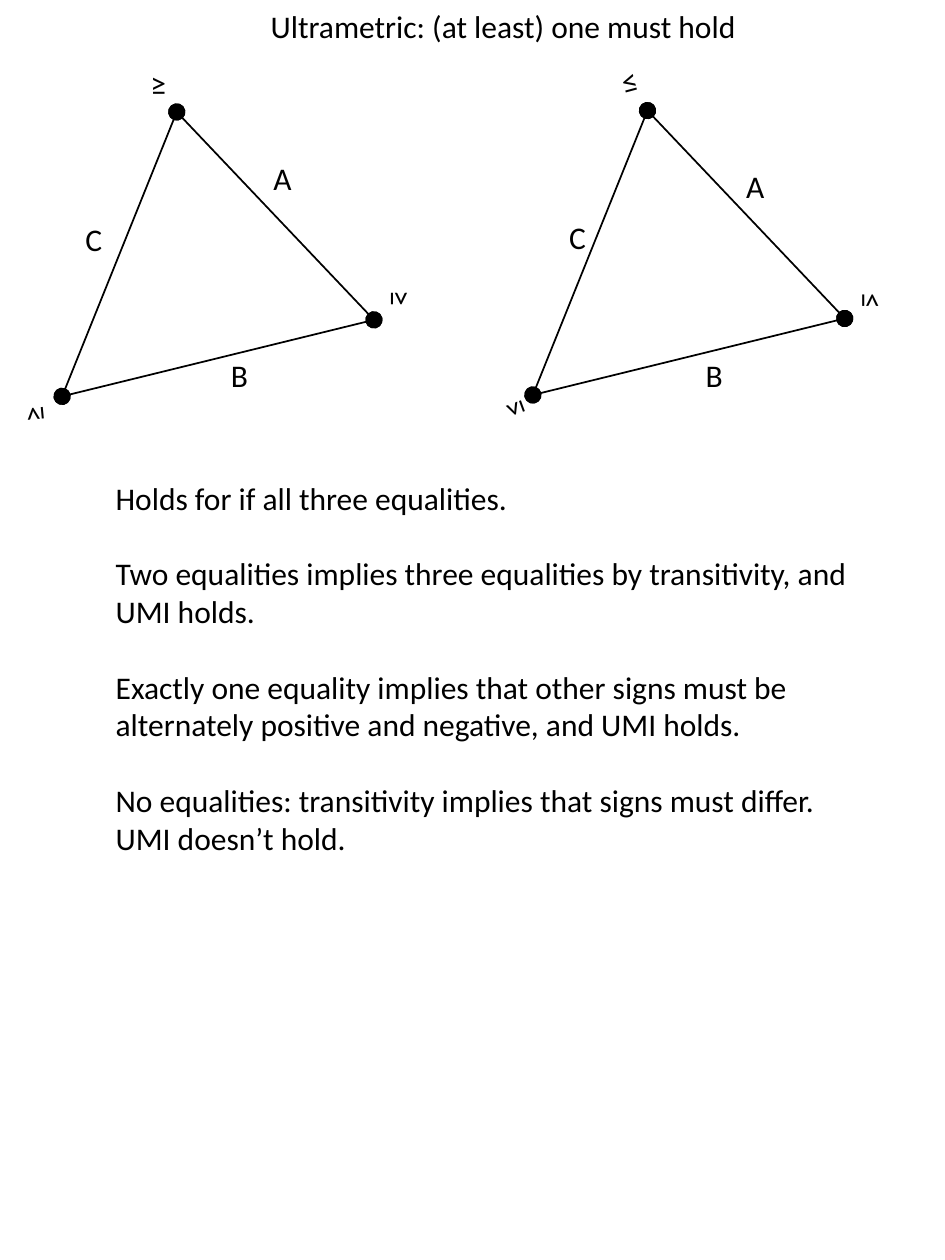
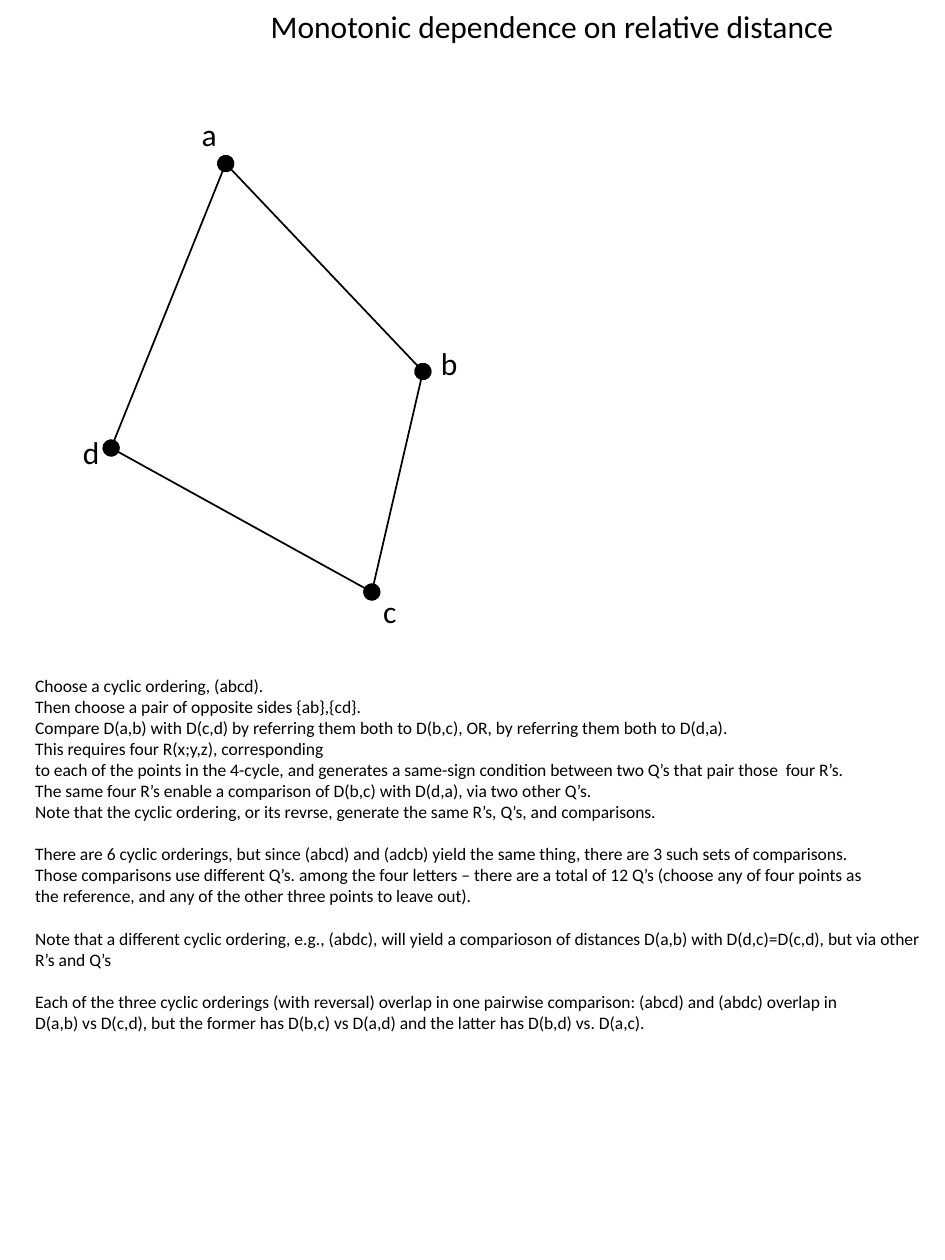
from lxml.etree import SubElement
from pptx import Presentation
from pptx.dml.color import RGBColor
from pptx.enum.shapes import MSO_CONNECTOR
from pptx.enum.text import MSO_ANCHOR, MSO_AUTO_SIZE, PP_ALIGN
from pptx.oxml.ns import qn
from pptx.util import Pt

# Content: every length is in points
TRIANGLE_TITLE = "Ultrametric: (at least) one must hold"
TRIANGLE_NOTES = [
    ["Holds for if all three equalities."],
    ["Two equalities implies three equalities by transitivity, and UMI holds."],
    ["Exactly one equality implies that other signs must be alternately "
     "positive and negative, and UMI holds."],
    ["No equalities: transitivity implies that signs must differ. "
     "UMI doesn’t hold."],
]
CYCLE_TITLE = "Monotonic dependence on relative distance"
CYCLE_NOTES = [
    ["Choose a cyclic ordering, (abcd).",
     "Then choose a pair of opposite sides {ab},{cd}.",
     "Compare D(a,b) with D(c,d) by referring them both to D(b,c), OR, "
     "by referring them both to D(d,a).",
     "This requires four R(x;y,z), corresponding",
     "to each of the points in the 4-cycle, and generates a same-sign "
     "condition between two Q’s that pair those  four R’s.",
     "The same four R’s enable a comparison of D(b,c) with D(d,a), "
     "via two other Q’s.",
     "Note that the cyclic ordering, or its revrse, generate the same R’s, "
     "Q’s, and comparisons."],
    ["There are 6 cyclic orderings, but since (abcd) and (adcb) yield the "
     "same thing, there are 3 such sets of comparisons.",
     "Those comparisons use different Q’s. among the four letters – there "
     "are a total of 12 Q’s (choose any of four points as",
     "the reference, and any of the other three points to leave out)."],
    ["Note that a different cyclic ordering, e.g., (abdc), will yield a "
     "comparioson of distances D(a,b) with D(d,c)=D(c,d), but via other",
     "R’s and Q’s"],
    ["Each of the three cyclic orderings (with reversal) overlap in one "
     "pairwise comparison: (abcd) and (abdc) overlap in",
     "D(a,b) vs D(c,d), but the former has D(b,c) vs D(a,d) and the latter "
     "has D(b,d) vs. D(a,c)."],
]

# Corners relative to the apex, in cyclic order
TRIANGLE = [(0, 0), (112.7, 118.8), (-65.5, 162.5)]
QUADRILATERAL = [(0, 0), (112.7, 118.8), (83.5, 244.8), (-65.5, 162.5)]

# Labels: text, centre x, centre y, rotation
GREATER_LABELS = [
    ("A", 161.5, 101.5, 0), ("B", 136.8, 214.5, 0), ("C", 53.6, 136.8, 0),
    ("≥", 18.4, 237, 264.7), ("≥", 90.4, 47.5, 0), ("≥", 230, 170.6, 90),
]
LESS_LABELS = [
    ("A", 431.6, 106.5, 0), ("B", 408.2, 214.5, 0), ("C", 330.1, 135.4, 0),
    ("≤", 359.6, 46.1, 344.9), ("≤", 292.7, 234, 249.8), ("≤", 499.3, 172, 90),
]
CYCLE_LABELS = [
    ("a", 119.5, 76.3, 0), ("b", 256.7, 207.4, 0),
    ("c", 222.8, 349.2, 0), ("d", 52.2, 258.5, 0),
]

# Shared style
BLACK = RGBColor(0, 0, 0)
FONT = "Calibri"
TITLE_SIZE = LABEL_SIZE = 18
LABEL_BOX = (11, 21.6)
LINE_HEIGHT = 1.2


def set_font(paragraph, size):
    paragraph.font.name = FONT
    paragraph.font.size = Pt(size)
    paragraph.font.color.rgb = BLACK


def add_text(slide, groups, box, size, wrap):
    """Groups of lines, set apart by the height of one line."""
    frame = slide.shapes.add_textbox(*map(Pt, box)).text_frame
    frame.word_wrap = wrap
    frame.auto_size = MSO_AUTO_SIZE.SHAPE_TO_FIT_TEXT
    frame.text = "\n".join(line for group in groups for line in group)
    starts = [sum(map(len, groups[:i])) for i in range(1, len(groups))]
    for index, paragraph in enumerate(frame.paragraphs):
        set_font(paragraph, size)
        if index in starts:
            paragraph.space_before = Pt(size * LINE_HEIGHT)


def add_edge(group, start, end):
    edge = group.shapes.add_connector(
        MSO_CONNECTOR.STRAIGHT, *map(Pt, start + end))
    edge.line.color.rgb = BLACK
    edge.line.width = Pt(1)
    properties = edge.element.spPr
    outline = properties.find(qn("a:ln"))
    for tip in ("a:headEnd", "a:tailEnd"):
        SubElement(outline, qn(tip), type="oval", w="lg", len="lg")
    SubElement(properties, qn("a:effectLst"))


def add_label(group, text, x, y, rotation):
    width, height = LABEL_BOX
    label = group.shapes.add_textbox(
        Pt(x - width / 2), Pt(y - height / 2), Pt(width), Pt(height))
    label.rotation = rotation
    frame = label.text_frame
    frame.margin_left = frame.margin_right = 0
    frame.margin_top = frame.margin_bottom = 0
    frame.word_wrap = False
    frame.vertical_anchor = MSO_ANCHOR.MIDDLE
    frame.text = text
    paragraph = frame.paragraphs[0]
    paragraph.alignment = PP_ALIGN.CENTER
    set_font(paragraph, LABEL_SIZE)


def add_graph(slide, apex, corners, labels):
    """A closed polygon with a dot at each corner."""
    group = slide.shapes.add_group_shape()
    points = [(apex[0] + x, apex[1] + y) for x, y in corners]
    for start, end in zip(points, points[1:] + points[:1]):
        add_edge(group, start, end)
    for label in labels:
        add_label(group, *label)


def add_titled_slide(deck, title, title_width):
    slide = deck.slides.add_slide(deck.slide_layouts[6])
    add_text(slide, [[title]], (147.6, 0.7, title_width, 29), TITLE_SIZE, False)
    return slide


def main():
    deck = Presentation()
    deck.slide_width, deck.slide_height = Pt(540), Pt(720)

    # Two triangles and the cases of equality
    triangles = add_titled_slide(deck, TRIANGLE_TITLE, 283.7)
    add_graph(triangles, (101, 64), TRIANGLE, GREATER_LABELS)
    add_graph(triangles, (370, 63.2), TRIANGLE, LESS_LABELS)
    add_text(triangles, TRIANGLE_NOTES, (59, 270, 447, 225.4), 18, True)

    # The four-point cycle and its comparisons
    cycle = add_titled_slide(deck, CYCLE_TITLE, 340.6)
    add_graph(cycle, (129, 93.5), QUADRILATERAL, CYCLE_LABELS)
    add_text(cycle, CYCLE_NOTES, (13, 382.3, 527, 213), 10, False)

    deck.save("out.pptx")


if __name__ == "__main__":
    main()
